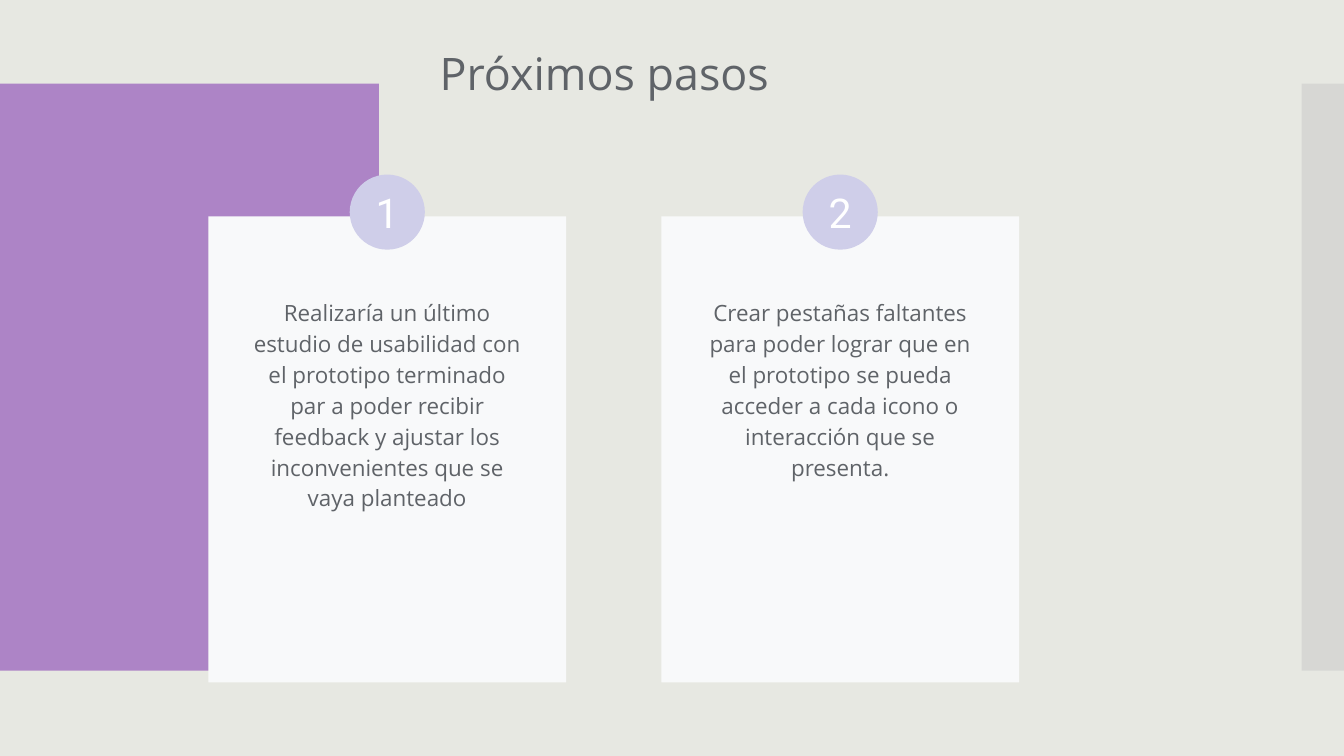
from dataclasses import dataclass

from lxml.etree import SubElement
from pptx import Presentation
from pptx.dml.color import RGBColor
from pptx.enum.shapes import MSO_SHAPE
from pptx.enum.text import MSO_ANCHOR, MSO_AUTO_SIZE, PP_ALIGN
from pptx.oxml.ns import qn
from pptx.shapes.autoshape import Shape
from pptx.slide import Slide
from pptx.text.text import TextFrame
from pptx.util import Cm, Pt

SAND = RGBColor(0xE7, 0xE8, 0xE2)
PURPLE = RGBColor(0xAD, 0x84, 0xC6)
SILVER = RGBColor(0xC8, 0xC8, 0xC8)
PAPER = RGBColor(0xF8, 0xF9, 0xFA)
LILAC = RGBColor(0xCF, 0xCE, 0xE9)
SLATE = RGBColor(0x5F, 0x63, 0x68)
WHITE = RGBColor(0xFF, 0xFF, 0xFF)

CARD_LEFT, CARD_TOP = 3.94, 4.09
CARD_WIDTH, CARD_HEIGHT = 6.76, 8.81
PITCH = 8.56
BODY_TOP, BODY_WIDTH = 5.33, 5.69
BADGE_TOP, BADGE_SIZE = 3.3, 1.42
INSET = 0.25


@dataclass(frozen=True)
class Box:
    left: float
    top: float
    width: float
    height: float

    def lengths(self) -> tuple[Cm, Cm, Cm, Cm]:
        return Cm(self.left), Cm(self.top), Cm(self.width), Cm(self.height)


@dataclass(frozen=True)
class Step:
    number: str
    text: str
    height: float


STEPS = (
    Step("1", "Realizaría un último estudio de usabilidad con el prototipo "
         "terminado par a poder recibir feedback y ajustar los "
         "inconvenientes que se vaya planteado", 4.65),
    Step("2", "Crear pestañas faltantes para poder lograr que en el prototipo "
         "se pueda acceder a cada icono o interacción que se presenta.", 4.06),
)


def add_block(slide: Slide, kind: MSO_SHAPE, box: Box, color: RGBColor) -> Shape:
    shape = slide.shapes.add_shape(kind, *box.lengths())
    shape.shadow.inherit = False
    shape.fill.solid()
    shape.fill.fore_color.rgb = color
    shape.line.fill.background()
    return shape


def set_text(frame: TextFrame, text: str, font: str, size: int,
             color: RGBColor, align: PP_ALIGN, inset: float) -> None:
    frame.word_wrap = True
    frame.margin_left = frame.margin_right = Cm(inset)
    frame.margin_top = frame.margin_bottom = Cm(inset)
    line = frame.paragraphs[0]
    line.text = text
    line.alignment = align
    line.font.name = font
    line.font.size = Pt(size)
    line.font.color.rgb = color


def add_label(slide: Slide, box: Box, text: str, size: int,
              align: PP_ALIGN) -> TextFrame:
    frame = slide.shapes.add_textbox(*box.lengths()).text_frame
    set_text(frame, text, "Open Sans", size, SLATE, align, INSET)
    frame.auto_size = MSO_AUTO_SIZE.SHAPE_TO_FIT_TEXT
    return frame


def add_card(slide: Slide, step: Step, left: float) -> None:
    card = Box(left, CARD_TOP, CARD_WIDTH, CARD_HEIGHT)
    add_block(slide, MSO_SHAPE.RECTANGLE, card, PAPER)
    inner = left + (CARD_WIDTH - BODY_WIDTH) / 2
    body = Box(inner, BODY_TOP, BODY_WIDTH, step.height)
    frame = add_label(slide, body, step.text, 12, PP_ALIGN.CENTER)
    frame.paragraphs[0].line_spacing = 1.15


def add_badge(slide: Slide, step: Step, left: float) -> None:
    start = left + (CARD_WIDTH - BADGE_SIZE) / 2
    box = Box(start, BADGE_TOP, BADGE_SIZE, BADGE_SIZE)
    frame = add_block(slide, MSO_SHAPE.OVAL, box, LILAC).text_frame
    set_text(frame, step.number, "Roboto", 22, WHITE, PP_ALIGN.CENTER, 0)
    frame.vertical_anchor = MSO_ANCHOR.MIDDLE


def main() -> None:
    deck = Presentation()
    deck.slide_width, deck.slide_height = Cm(25.4), Cm(14.29)
    slide = deck.slides.add_slide(deck.slide_layouts[6])
    slide.background.fill.solid()
    slide.background.fill.fore_color.rgb = SAND

    add_block(slide, MSO_SHAPE.RECTANGLE, Box(0, 1.58, 7.16, 11.1), PURPLE)
    strip = add_block(slide, MSO_SHAPE.RECTANGLE,
                      Box(24.6, 1.58, 0.8, 11.1), SILVER)
    tint = strip.fill._xPr.find(qn("a:solidFill"))[0]
    SubElement(tint, qn("a:alpha"), val="50000")

    title = add_label(slide, Box(8.31, 0.61, 13.69, 1.55),
                      "Próximos pasos", 24, PP_ALIGN.LEFT)
    title.margin_left = 0

    lefts = [CARD_LEFT + i * PITCH for i in range(len(STEPS))]
    for step, left in zip(STEPS, lefts):
        add_card(slide, step, left)
    for step, left in zip(STEPS, lefts):
        add_badge(slide, step, left)

    deck.save("out.pptx")


if __name__ == "__main__":
    main()
